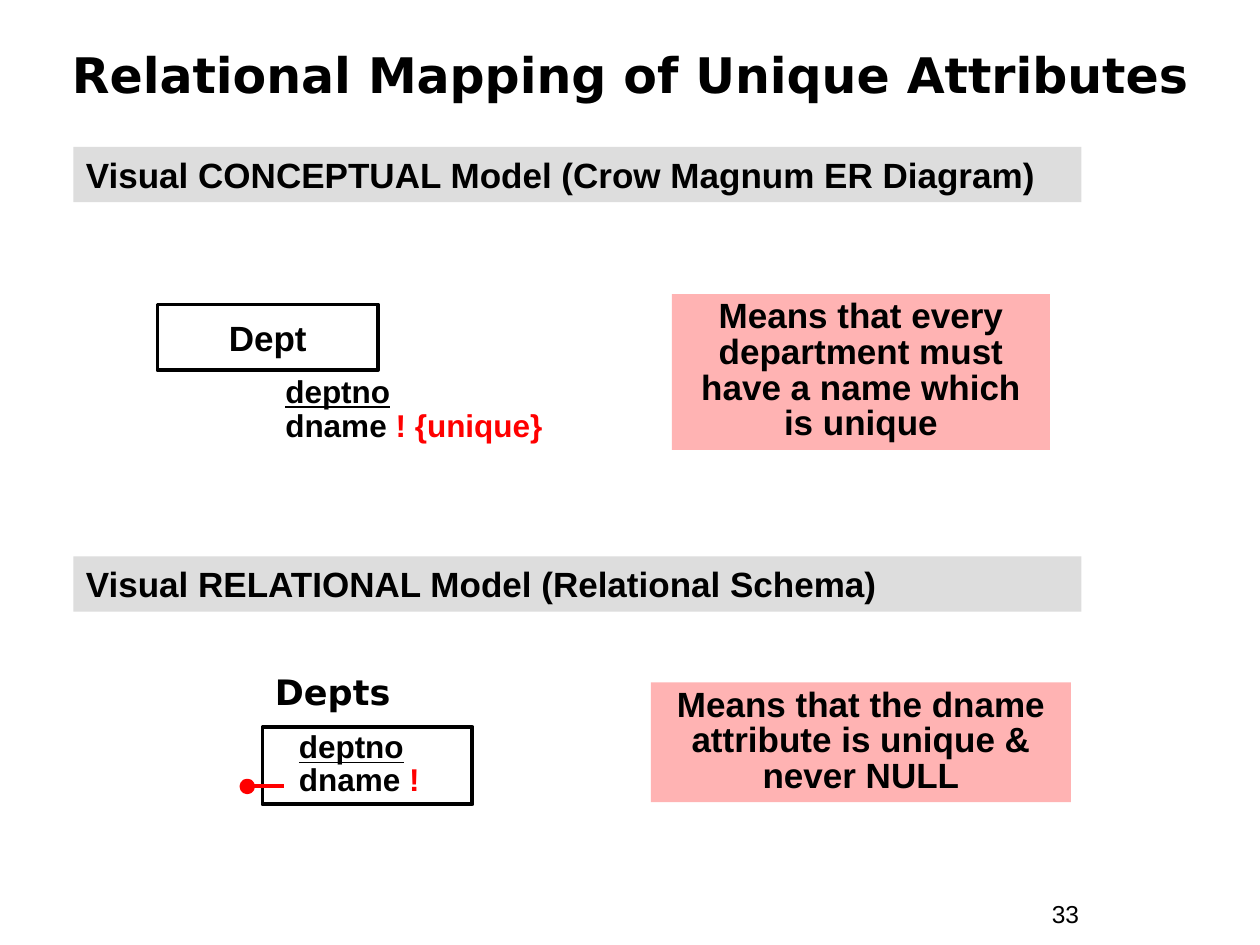
from dataclasses import dataclass

from lxml.etree import SubElement
from pptx import Presentation
from pptx.dml.color import RGBColor
from pptx.enum.shapes import MSO_CONNECTOR, MSO_SHAPE
from pptx.enum.text import MSO_ANCHOR, MSO_AUTO_SIZE, PP_ALIGN
from pptx.oxml.ns import qn
from pptx.util import Inches, Pt


@dataclass(frozen=True)
class Theme:
    ink: RGBColor = RGBColor(0, 0, 0)
    accent: RGBColor = RGBColor(0xFF, 0, 0)
    band: RGBColor = RGBColor(0xDD, 0xDD, 0xDD)
    note: RGBColor = RGBColor(0xFF, 0xB3, 0xB3)
    body_font: str = "Arial"
    title_font: str = "DejaVu Sans"
    title: int = 28
    label: int = 20
    attribute: int = 18
    number: int = 14
    outline: float = 2.25


THEME = Theme()
COLUMNS, ROWS = 120, 90
SLIDE_WIDTH, SLIDE_HEIGHT = Inches(10), Inches(7.5)


def col(count):
    return round(count * SLIDE_WIDTH / COLUMNS)


def row(count):
    return round(count * SLIDE_HEIGHT / ROWS)


def area(left, top, width, height):
    return col(left), row(top), col(width), row(height)


def style(paragraph, size, font=THEME.body_font, bold=True, align=PP_ALIGN.LEFT, spacing=1.0):
    paragraph.alignment = align
    paragraph.line_spacing = spacing
    paragraph.font.name = font
    paragraph.font.size = Pt(size)
    paragraph.font.bold = bold
    paragraph.font.color.rgb = THEME.ink


def add_title(slide, wording):
    title = slide.shapes.title
    title.left, title.top, title.width, title.height = area(3, 4, 114, 6)
    title.text_frame.text = wording
    title.text_frame.auto_size = MSO_AUTO_SIZE.NONE
    title.text_frame.vertical_anchor = MSO_ANCHOR.MIDDLE
    style(title.text_frame.paragraphs[0], THEME.title, THEME.title_font, align=PP_ALIGN.CENTER)


def add_label(slide, place, wording, size, **look):
    label = slide.shapes.add_textbox(*area(*place))
    label.text_frame.word_wrap = True
    label.text_frame.text = wording
    style(label.text_frame.paragraphs[0], size, **look)


def add_box(slide, place, fill=None):
    """Add a filled box without outline, or an outlined box without fill."""
    box = slide.shapes.add_shape(MSO_SHAPE.RECTANGLE, *area(*place))
    box.shadow.inherit = False
    if fill is None:
        box.fill.background()
        box.line.color.rgb = THEME.ink
        box.line.width = Pt(THEME.outline)
    else:
        box.fill.solid()
        box.fill.fore_color.rgb = fill
        box.line.fill.background()
    box.text_frame.word_wrap = True
    box.text_frame.vertical_anchor = MSO_ANCHOR.TOP
    return box


def add_text_box(slide, place, wording, fill=None, **look):
    box = add_box(slide, place, fill)
    box.text_frame.text = wording
    style(box.text_frame.paragraphs[0], THEME.label, **look)
    return box


def write_attributes(frame, constraint, spacing, indent=0):
    """List the underlined key, then the name with its constraint in the accent colour."""
    key, name = frame.paragraphs[0], frame.add_paragraph()
    key.add_run().text = "deptno"
    key.runs[0].font.underline = True
    name.add_run().text = "dname "
    mark = name.add_run()
    mark.text = constraint
    mark.font.color.rgb = THEME.accent
    for paragraph in (key, name):
        properties = paragraph._p.get_or_add_pPr()
        properties.set("marL", str(Inches(indent)))
        properties.set("indent", "0")
        style(paragraph, THEME.attribute, spacing=spacing)


def add_unique_marker(slide, left, middle):
    """Draw a dot with a short line to its right, grouped."""
    diameter = 1.1
    group = slide.shapes.add_group_shape()
    dot = group.shapes.add_shape(
        MSO_SHAPE.OVAL, *area(left, middle - diameter / 2, diameter, diameter))
    dot.shadow.inherit = False
    dot.fill.solid()
    dot.fill.fore_color.rgb = THEME.accent
    stem = group.shapes.add_connector(
        MSO_CONNECTOR.STRAIGHT, col(left + 1), row(middle), col(left + 4), row(middle))
    SubElement(stem._element.spPr, qn("a:effectLst"))
    for part in (dot, stem):
        part.line.color.rgb = THEME.accent
        part.line.width = Pt(THEME.outline)


def add_conceptual_model(slide):
    entity = add_text_box(slide, (15, 29, 21, 6.25), "Dept", align=PP_ALIGN.CENTER)
    entity.text_frame.word_wrap = False
    entity.text_frame.vertical_anchor = MSO_ANCHOR.MIDDLE
    attributes = slide.shapes.add_textbox(*area(26, 35.25, 29, 7.7))
    attributes.text_frame.word_wrap = True
    write_attributes(attributes.text_frame, "! {unique}", spacing=0.9)


def add_relational_model(slide):
    add_label(slide, (25, 63.25, 25.75, 5.25), "Depts", THEME.label, font=THEME.title_font)
    table = add_box(slide, (25, 69.25, 20, 7.35))
    write_attributes(table.text_frame, "!", spacing=0.85, indent=0.19)
    add_unique_marker(slide, 23, 74.9)


def main():
    presentation = Presentation()
    presentation.slide_width, presentation.slide_height = SLIDE_WIDTH, SLIDE_HEIGHT
    slide = presentation.slides.add_slide(presentation.slide_layouts[5])

    add_title(slide, "Relational Mapping of Unique Attributes")
    headings = (
        (14, "Visual CONCEPTUAL Model (Crow Magnum ER Diagram)"),
        (53, "Visual RELATIONAL Model (Relational Schema)"),
    )
    for top, wording in headings:
        add_text_box(slide, (7, top, 96, 5.25), wording, THEME.band)

    add_conceptual_model(slide)
    add_relational_model(slide)

    notes = (
        ((64, 28, 36, 14.85), "Means that every department must have a name which is unique"),
        ((62, 65, 40, 11.4), "Means that the dname attribute is unique & never NULL"),
    )
    for place, wording in notes:
        add_text_box(slide, place, wording, THEME.note, align=PP_ALIGN.CENTER, spacing=0.85)

    add_label(slide, (99, 85, 11, 4), "33", THEME.number, bold=False)
    presentation.save("out.pptx")


if __name__ == "__main__":
    main()
